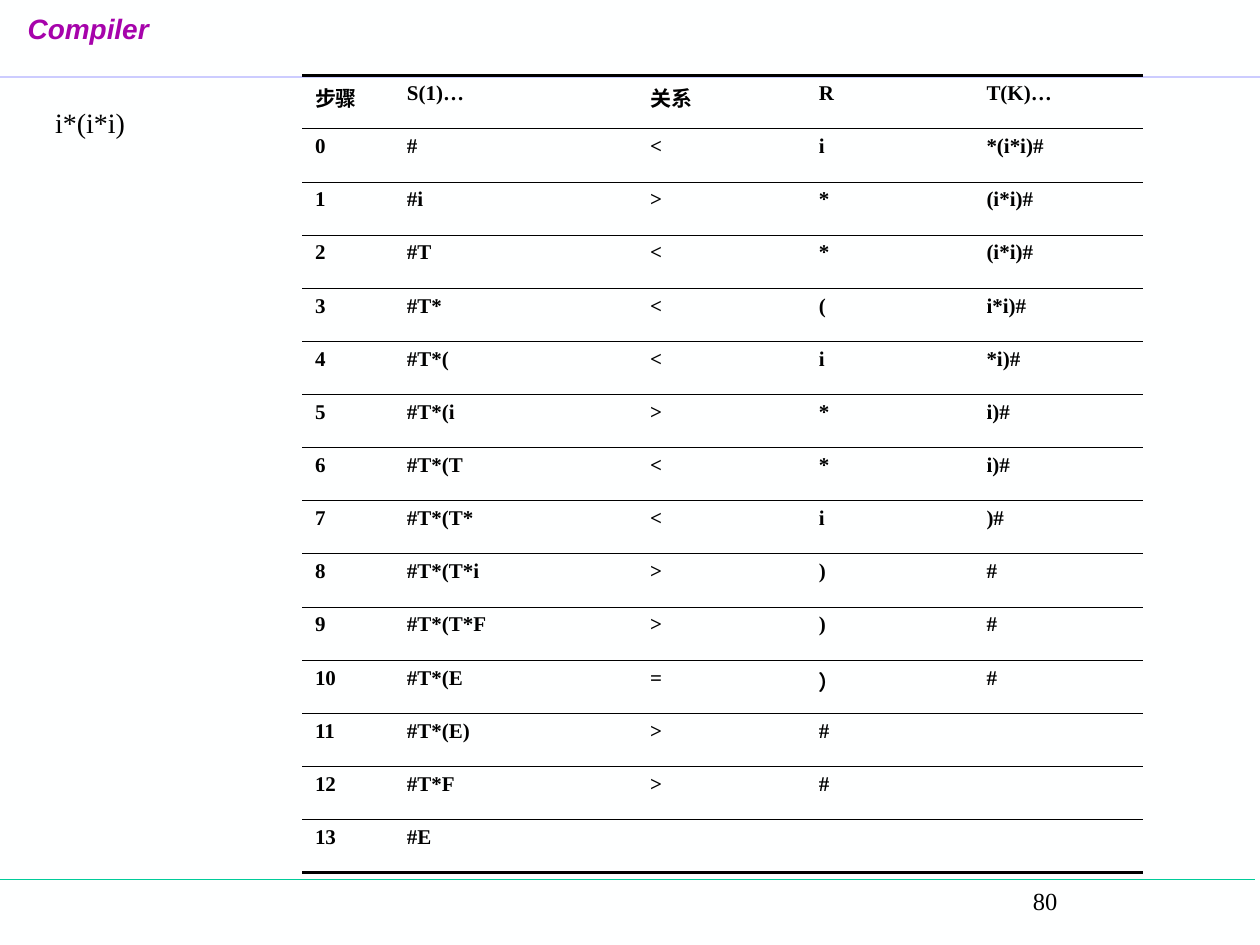
from lxml import etree
from pptx import Presentation
from pptx.dml.color import RGBColor
from pptx.enum.shapes import MSO_CONNECTOR
from pptx.enum.text import MSO_ANCHOR, MSO_AUTO_SIZE, PP_ALIGN
from pptx.oxml.ns import qn
from pptx.util import Inches, Pt

STRAIGHT = MSO_CONNECTOR.STRAIGHT
TOP = MSO_ANCHOR.TOP
LEFT = PP_ALIGN.LEFT
NO_AUTOFIT = MSO_AUTO_SIZE.NONE
TITLE_ONLY_LAYOUT = 5

THEME = {
    "background": "FEFFFF", "text": "000000", "title": "A603AB",
    "header_line": "CCCCFF", "footer_line": "00CC99",
    "title_font": "Arial", "body_font": "Times New Roman",
    "title_size": 16, "formula_size": 16, "number_size": 14, "table_size": 12,
    "outer_border": 1.5, "inner_border": 0.45, "rule_width": 1,
}

STEPS = [
    ("步骤", "S(1)…", "关系", "R", "T(K)…"),
    ("0", "#", "<", "i", "*(i*i)#"),
    ("1", "#i", ">", "*", "(i*i)#"),
    ("2", "#T", "<", "*", "(i*i)#"),
    ("3", "#T*", "<", "(", "i*i)#"),
    ("4", "#T*(", "<", "i", "*i)#"),
    ("5", "#T*(i", ">", "*", "i)#"),
    ("6", "#T*(T", "<", "*", "i)#"),
    ("7", "#T*(T*", "<", "i", ")#"),
    ("8", "#T*(T*i", ">", ")", "#"),
    ("9", "#T*(T*F", ">", ")", "#"),
    ("10", "#T*(E", "=", "）", "#"),
    ("11", "#T*(E)", ">", "#", ""),
    ("12", "#T*F", ">", "#", ""),
    ("13", "#E", "", "", ""),
]
COLUMN_WIDTHS = [0.73, 1.93, 1.34, 1.33, 1.34]
TABLE_LEFT, TABLE_TOP, TABLE_HEIGHT = 2.4, 0.6, 6.33


def write(paragraph, text, size, font="body_font", color="text", bold=False, italic=False):
    run = paragraph.add_run()
    run.text = text
    run.font.name = THEME[font]
    run.font.size = Pt(THEME[size])
    run.font.color.rgb = RGBColor.from_string(THEME[color])
    run.font.bold = bold
    run.font.italic = italic


def add_border(cell, side, width=None):
    """Draw one side of a cell, or hide it when no width is given."""
    border = etree.SubElement(cell._tc.get_or_add_tcPr(), qn(f"a:ln{side}"))
    if width is None:
        etree.SubElement(border, qn("a:noFill"))
        return
    border.set("w", str(Pt(width)))
    fill = etree.SubElement(border, qn("a:solidFill"))
    etree.SubElement(fill, qn("a:srgbClr"), val=THEME["text"])


presentation = Presentation()
presentation.slide_width = Inches(10)
presentation.slide_height = Inches(7.5)
slide = presentation.slides.add_slide(presentation.slide_layouts[TITLE_ONLY_LAYOUT])
slide.background.fill.solid()
slide.background.fill.fore_color.rgb = RGBColor.from_string(THEME["background"])

# Rules under the header and above the footer
for start, y, color in [(-0.04, 6.98, "footer_line"), (0, 0.61, "header_line")]:
    rule = slide.shapes.add_connector(
        STRAIGHT, Inches(start), Inches(y), Inches(start + 10), Inches(y))
    rule.line.color.rgb = RGBColor.from_string(THEME[color])
    rule.line.width = Pt(THEME["rule_width"])
    etree.SubElement(rule._element.spPr, qn("a:effectLst"))

# Title
title = slide.shapes.title
title.left, title.top = Inches(0.12), Inches(0.04)
title.width, title.height = Inches(1.3), Inches(0.56)
title.text_frame.word_wrap = False
title.text_frame.auto_size = NO_AUTOFIT
title.text_frame.vertical_anchor = TOP
title_paragraph = title.text_frame.paragraphs[0]
title_paragraph.alignment = LEFT
write(title_paragraph, "Compiler", "title_size", "title_font", "title", bold=True, italic=True)

# Page number
number_box = slide.shapes.add_textbox(Inches(6.89), Inches(6.98), Inches(3.07), Inches(0.5))
number_box.text_frame.word_wrap = True
number_paragraph = number_box.text_frame.paragraphs[0]
number_paragraph._p.get_or_add_pPr().set("marL", str(Inches(1.21)))
write(number_paragraph, "80", "number_size")

# Parsing steps
table_frame = slide.shapes.add_table(
    len(STEPS), len(COLUMN_WIDTHS), Inches(TABLE_LEFT), Inches(TABLE_TOP),
    Inches(sum(COLUMN_WIDTHS)), Inches(TABLE_HEIGHT))
table = table_frame.table
table.first_row = False
table.horz_banding = False
for column, width in zip(table.columns, COLUMN_WIDTHS):
    column.width = Inches(width)

last_row = len(STEPS) - 1
for row_index, step in enumerate(STEPS):
    top_width = THEME["outer_border" if row_index == 0 else "inner_border"]
    bottom_width = THEME["outer_border" if row_index == last_row else "inner_border"]
    for column_index, text in enumerate(step):
        cell = table.cell(row_index, column_index)
        for side, width in [("L", None), ("R", None), ("T", top_width), ("B", bottom_width)]:
            add_border(cell, side, width)
        cell.fill.background()
        if text:
            write(cell.text_frame.paragraphs[0], text, "table_size", bold=True)

# Formula being parsed
formula_box = slide.shapes.add_textbox(Inches(0.34), Inches(0.79), Inches(1), Inches(0.37))
formula_box.text_frame.word_wrap = True
write(formula_box.text_frame.paragraphs[0], "i*(i*i)", "formula_size")

presentation.save("out.pptx")
